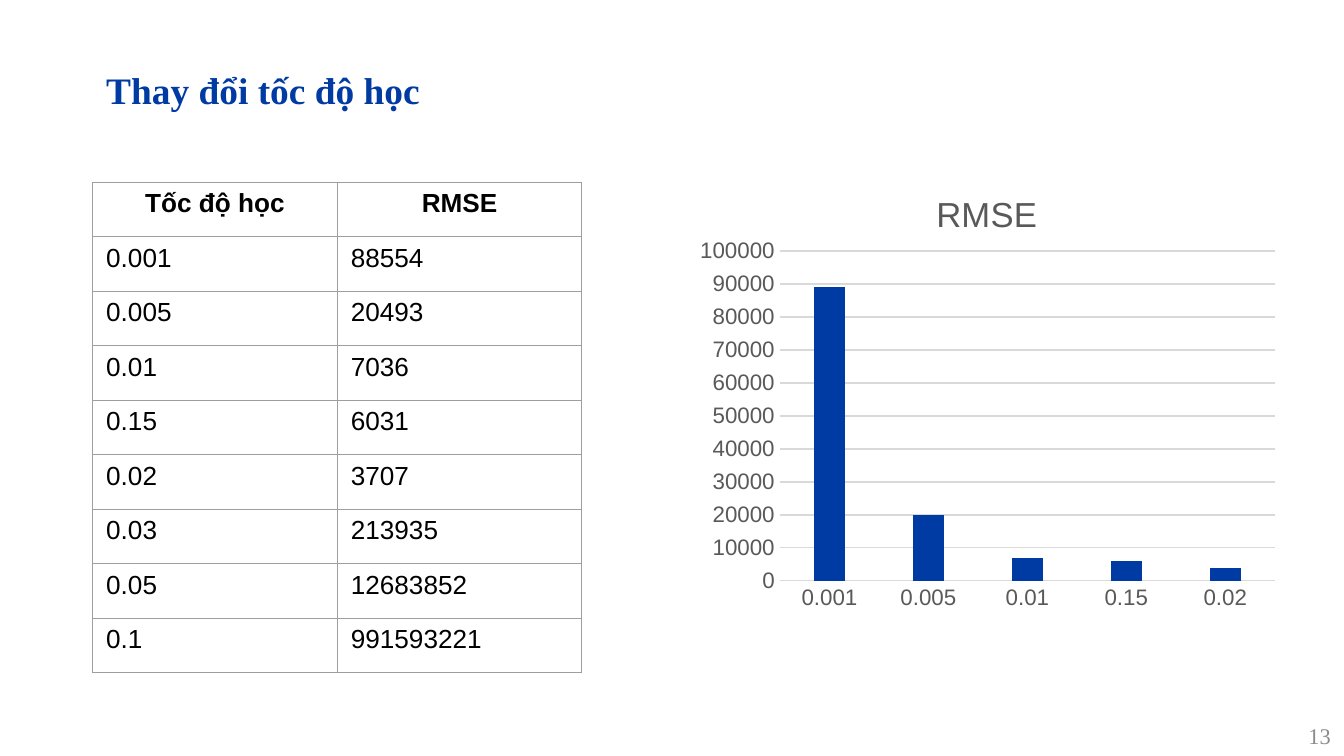
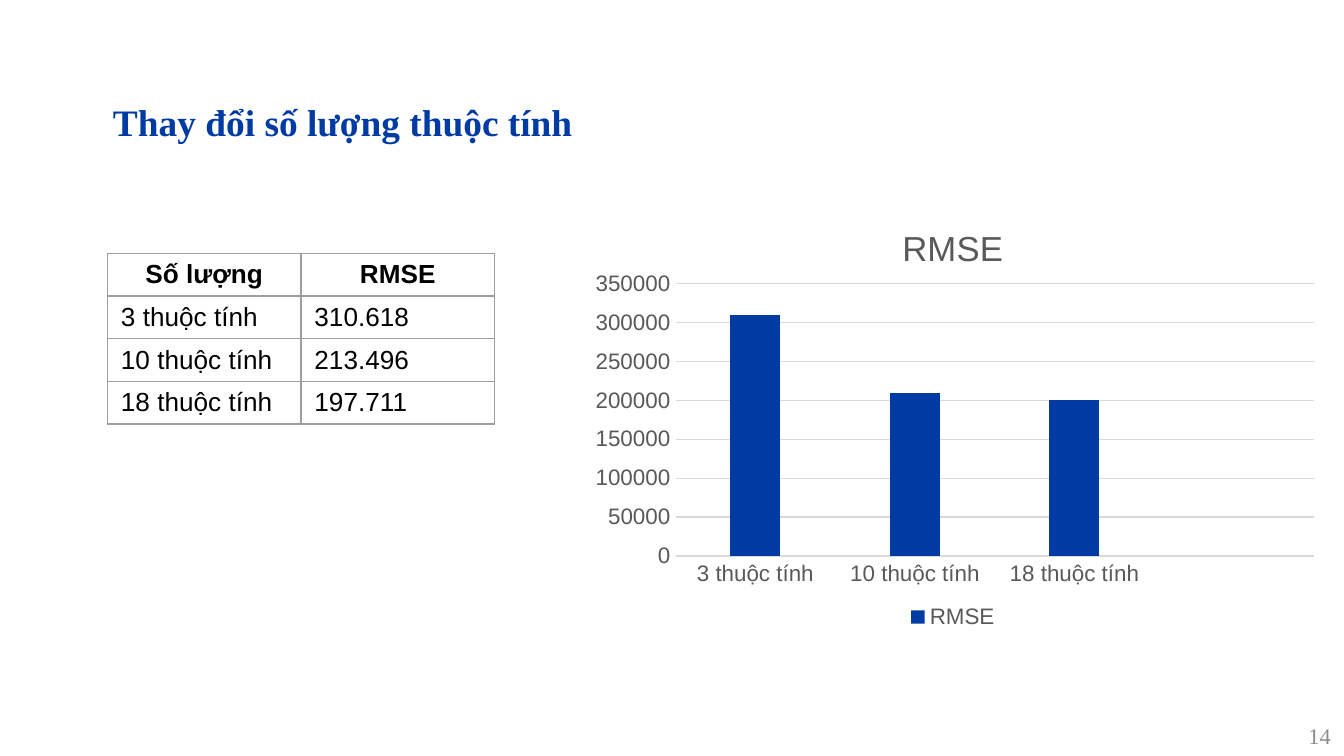
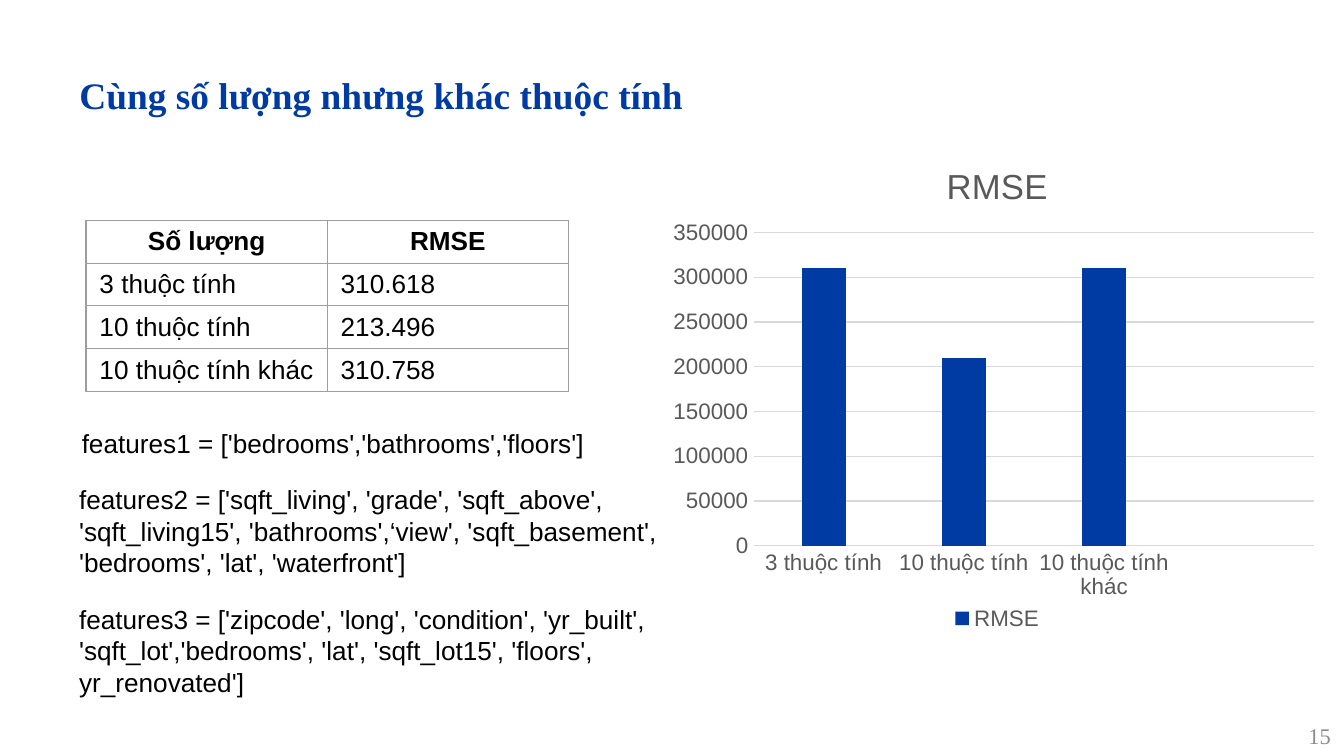
from dataclasses import dataclass

from pptx import Presentation
from pptx.chart.data import CategoryChartData
from pptx.dml.color import RGBColor
from pptx.enum.chart import XL_CHART_TYPE as ChartType, XL_LEGEND_POSITION as LegendSide, XL_TICK_MARK as Tick
from pptx.enum.text import MSO_ANCHOR as Anchor, MSO_AUTO_SIZE as AutoSize, PP_ALIGN as Align
from pptx.oxml import parse_xml
from pptx.oxml.ns import nsdecls, qn
from pptx.util import Inches, Pt


@dataclass(frozen=True)
class Theme:
    blue: str = "003BA3"
    ink: str = "000000"
    label: str = "595959"
    number: str = "8C8C8C"
    border: str = "9E9E9E"
    grid: str = "D9D9D9"
    serif: str = "Times New Roman"
    sans: str = "Arial"
    heading_size: float = 20
    chart_title_size: float = 18.6
    text_size: float = 14
    label_size: float = 12
    line: float = 0.75


theme = Theme()
deck = Presentation()
deck.slide_width, deck.slide_height = Inches(10), Inches(5.625)


def box(left, top, width, height):
    sides = (deck.slide_width, deck.slide_height) * 2
    return [int(side * share / 100) for side, share in zip(sides, (left, top, width, height))]


def set_font(font, size, color, name=theme.sans, bold=False):
    for attribute, value in {"name": name, "size": Pt(size), "bold": bold}.items():
        setattr(font, attribute, value)
    font.color.rgb = RGBColor.from_string(color)


pages = [
    {
        "heading": "Thay đổi tốc độ học", "heading_at": (6.9, 7.11),
        "rows": [("Tốc độ học", "RMSE"), ("0.001", "88554"), ("0.005", "20493"), ("0.01", "7036"),
                 ("0.15", "6031"), ("0.02", "3707"), ("0.03", "213935"), ("0.05", "12683852"),
                 ("0.1", "991593221")],
        "table_at": (6.9, 24.1, 36.4), "row_height": 7.21,
        "chart_at": (52, 22.22, 42.9, 61.87), "plot": (0.141, 0.178, 0.859, 0.705),
        "bars": 5, "slots": 5, "rounding": -3, "legend": False, "features": [],
    },
    {
        "heading": "Thay đổi số lượng thuộc tính", "heading_at": (7.4, 11.38),
        "rows": [("Số lượng", "RMSE"), ("3 thuộc tính", "310.618"), ("10 thuộc tính", "213.496"),
                 ("18 thuộc tính", "197.711")],
        "table_at": (8, 33.5, 28.8), "row_height": 5.65,
        "chart_at": (42.8, 26.84, 56.2, 57.07), "plot": (0.133, 0.187, 0.845, 0.632),
        "bars": 3, "slots": 4, "rounding": -4, "legend": True, "features": [],
    },
    {
        "heading": "Cùng số lượng nhưng khác thuộc tính", "heading_at": (4.9, 7.82),
        "rows": [("Số lượng", "RMSE"), ("3 thuộc tính", "310.618"), ("10 thuộc tính", "213.496"),
                 ("10 thuộc tính khác", "310.758")],
        "table_at": (6.4, 29.16, 35.9), "row_height": 5.65,
        "chart_at": (49.5, 18.49, 49.4, 65.6), "plot": (0.133, 0.187, 0.845, 0.632),
        "bars": 3, "slots": 4, "rounding": -4, "legend": True,
        "features": [
            ((4.9, 63.11, 50, 14.4), True,
             "features2 = ['sqft_living', 'grade', 'sqft_above', 'sqft_living15', 'bathrooms',‘view', "
             "'sqft_basement', 'bedrooms', 'lat', 'waterfront']"),
            ((4.9, 78.93, 53, 10.13), True,
             "features3 = ['zipcode', 'long', 'condition', 'yr_built', 'sqft_lot','bedrooms', 'lat', "
             "'sqft_lot15', 'floors', yr_renovated']"),
            ((5.1, 55.64, 39.5, 6.04), False, "features1 = ['bedrooms','bathrooms','floors']"),
        ],
    },
]

for page_number, page in enumerate(pages, start=13):
    slide = deck.slides.add_slide(deck.slide_layouts[5])

    heading = slide.shapes.title
    heading.left, heading.top, heading.width, heading.height = box(*page["heading_at"], 67.9, 9.07)
    heading_frame = heading.text_frame
    heading_frame.text = page["heading"]
    for attribute, value in {"vertical_anchor": Anchor.TOP, "auto_size": AutoSize.NONE, "word_wrap": True}.items():
        setattr(heading_frame, attribute, value)
    for side in ("left", "top", "right", "bottom"):
        setattr(heading_frame, f"margin_{side}", Inches(0.1))
    heading_line = heading_frame.paragraphs[0]
    for attribute, value in {"alignment": Align.LEFT, "line_spacing": 1.0, "space_after": Pt(16)}.items():
        setattr(heading_line, attribute, value)
    set_font(heading_line.runs[0].font, theme.heading_size, theme.blue, theme.serif, True)

    footer = slide.shapes.add_textbox(*box(77.5, 94.6, 22.5, 5.4)).text_frame
    footer.text = str(page_number)
    footer.vertical_anchor = Anchor.MIDDLE
    footer.word_wrap = True
    footer.paragraphs[0].alignment = Align.RIGHT
    set_font(footer.paragraphs[0].runs[0].font, theme.label_size, theme.number, theme.serif)

    rows = page["rows"]
    table_box = box(*page["table_at"], page["row_height"] * len(rows))
    results = slide.shapes.add_table(len(rows), 2, *table_box).table
    results.first_row = results.horz_banding = False
    for row_index, row in enumerate(rows):
        for column_index, entry in enumerate(row):
            cell = results.cell(row_index, column_index)
            cell.text = entry
            cell.margin_bottom = Inches(0.03)
            cell.fill.background()
            paragraph = cell.text_frame.paragraphs[0]
            is_header = row_index == 0
            paragraph.alignment = Align.CENTER if is_header else Align.LEFT
            set_font(paragraph.runs[0].font, theme.text_size, theme.ink, bold=is_header)
            for position, edge in enumerate(("lnL", "lnR", "lnT", "lnB")):
                cell._tc.get_or_add_tcPr().insert(position, parse_xml(
                    f'<a:{edge} {nsdecls("a")} w="{Pt(theme.line)}"><a:solidFill>'
                    f'<a:srgbClr val="{theme.border}"/></a:solidFill></a:{edge}>'))

    charted = rows[1:page["bars"] + 1]
    padding = page["slots"] - len(charted)
    errors = [round(int(error.replace(".", "")), page["rounding"]) for _, error in charted]
    rmse = CategoryChartData()
    rmse.categories = [name for name, _ in charted] + [""] * padding
    rmse.add_series("RMSE", errors + [None] * padding)
    chart = slide.shapes.add_chart(ChartType.COLUMN_CLUSTERED, *box(*page["chart_at"]), rmse).chart
    set_font(chart.font, theme.label_size, theme.label)
    chart.has_title = True
    chart.chart_title.text_frame.text = "RMSE"
    chart.chart_title.include_in_layout = False
    set_font(chart.chart_title.text_frame.paragraphs[0].runs[0].font, theme.chart_title_size, theme.label)

    bars = chart.plots[0]
    for attribute, value in {"gap_width": 219, "overlap": -27, "vary_by_categories": False}.items():
        setattr(bars, attribute, value)
    bar_fill = bars.series[0].format.fill
    bar_fill.solid()
    bar_fill.fore_color.rgb = RGBColor.from_string(theme.blue)

    for axis in (chart.category_axis, chart.value_axis):
        axis.major_tick_mark = axis.minor_tick_mark = Tick.NONE
        set_font(axis.tick_labels.font, theme.label_size, theme.label)
    chart.value_axis.format.line.fill.background()
    chart.value_axis.has_major_gridlines = True
    for line in (chart.category_axis.format.line, chart.value_axis.major_gridlines.format.line):
        line.width = Pt(theme.line)
        line.color.rgb = RGBColor.from_string(theme.grid)

    chart.has_legend = page["legend"]
    if chart.has_legend:
        chart.legend.position = LegendSide.BOTTOM
        chart.legend.include_in_layout = False
        set_font(chart.legend.font, theme.label_size, theme.label)

    plot_area = chart.element.find(".//" + qn("c:plotArea"))
    for automatic in plot_area.findall(qn("c:layout")):
        plot_area.remove(automatic)
    shares = "".join(f'<c:{key} val="{share}"/>' for key, share in zip("xywh", page["plot"]))
    plot_area.insert(0, parse_xml(
        f'<c:layout {nsdecls("c")}><c:manualLayout><c:layoutTarget val="inner"/>'
        f'<c:xMode val="edge"/><c:yMode val="edge"/>{shares}</c:manualLayout></c:layout>'))

    for feature_at, wraps, listing in page["features"]:
        feature = slide.shapes.add_textbox(*box(*feature_at)).text_frame
        feature.text = listing
        feature.word_wrap = wraps
        feature.auto_size = AutoSize.SHAPE_TO_FIT_TEXT
        set_font(feature.paragraphs[0].runs[0].font, theme.text_size, theme.ink)

deck.save("out.pptx")
